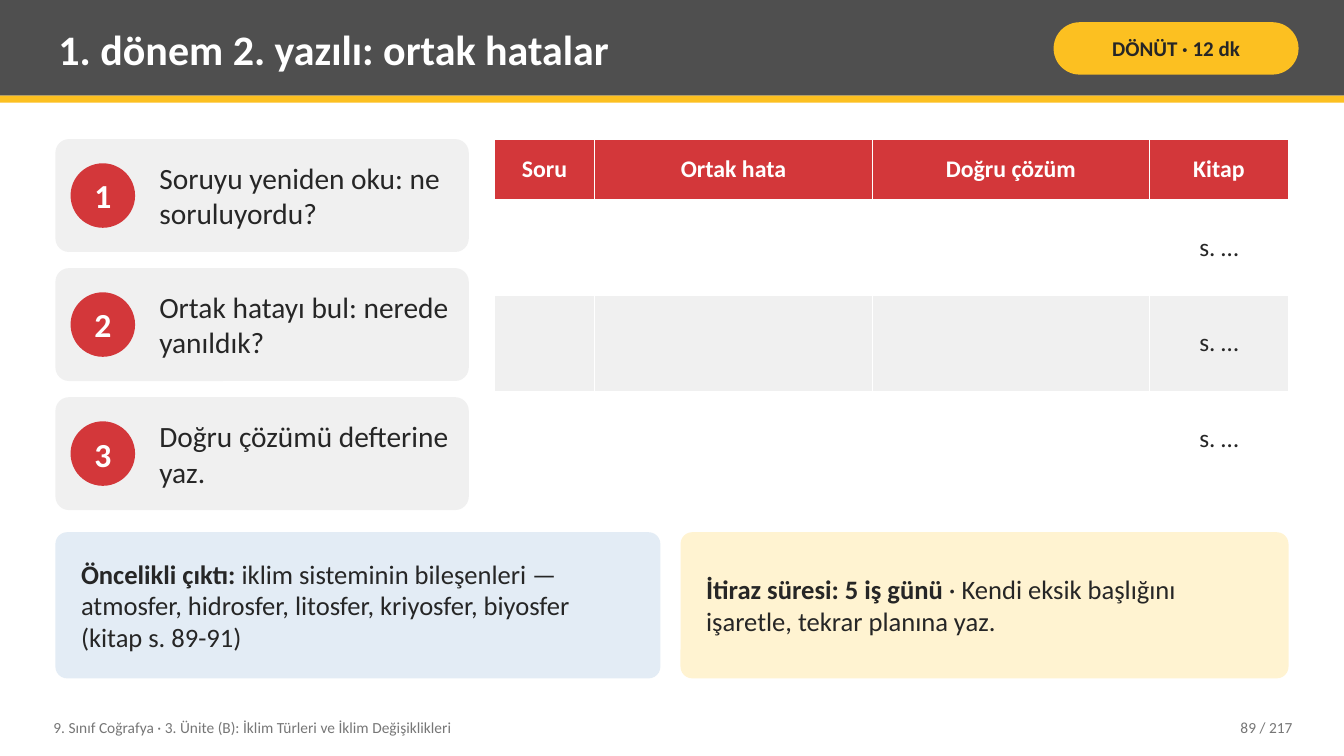
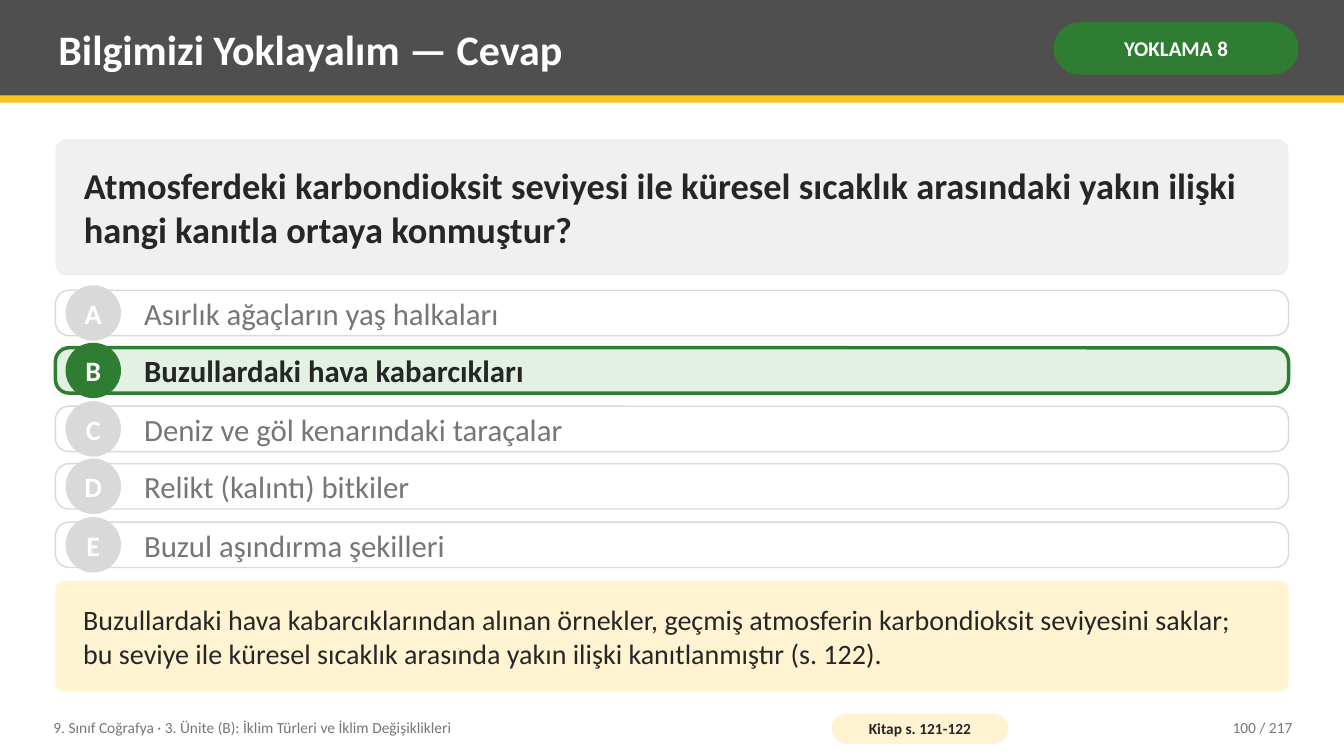
from pptx import Presentation
from pptx.dml.color import RGBColor
from pptx.enum.shapes import MSO_SHAPE as Shape
from pptx.enum.text import MSO_ANCHOR as Anchor, PP_ALIGN as Align
from pptx.oxml import parse_xml
from pptx.oxml.ns import nsdecls
from pptx.util import Pt

PX = 9144  # EMU in one px, 100 px to the inch
SLIDE_WIDTH, SLIDE_HEIGHT = 1333, 750
LEFT, TOP, CONTENT_WIDTH = 55, 138, 1223
FONT = "Calibri"
FOOTER = "9. Sınıf Coğrafya · 3. Ünite (B): İklim Türleri ve İklim Değişiklikleri"
PAGE_COUNT = 217

WHITE, INK, MUTED = "FFFFFF", "262626", "767676"
DARK, YELLOW, RED, GREEN = "4F4F4F", "FCC021", "D3373A", "2E7D32"
GREY, SILVER = "F0F0F0", "D9D9D9"
PALE_BLUE, PALE_YELLOW, PALE_GREEN = "E3ECF5", "FFF3D1", "E3F1E4"


def px(*lengths):
    return [length * PX for length in lengths]


def paint(color_format, color):
    color_format.rgb = RGBColor.from_string(color)


def fill_solid(target, color):
    target.fill.solid()
    paint(target.fill.fore_color, color)


# Text
def format_run(run, size, color, bold):
    run.font.name = FONT
    run.font.size = Pt(size)
    run.font.bold = bold
    paint(run.font.color, color)


def write(frame, text, size, color=INK, bold=False, align=Align.LEFT,
          insets=(8, 4), wrap=True, lead=""):
    """Fill a text frame; lead is a bold opening before the text."""
    frame.word_wrap = wrap
    frame.vertical_anchor = Anchor.MIDDLE
    frame.margin_left = frame.margin_right = insets[0] * PX
    frame.margin_top = frame.margin_bottom = insets[1] * PX
    frame.text = lead or text
    paragraph = frame.paragraphs[0]
    paragraph.alignment = align
    format_run(paragraph.runs[0], size, color, bold or bool(lead))
    if lead:
        run = paragraph.add_run()
        run.text = text
        format_run(run, size, color, bold)


def add_text(slide, box, text, size, **style):
    write(slide.shapes.add_textbox(*px(*box)).text_frame, text, size, **style)


# Shapes
def add_block(slide, kind, box, fill, line=None, line_width=1):
    shape = slide.shapes.add_shape(kind, *px(*box))
    shape.shadow.inherit = False
    fill_solid(shape, fill)
    if line:
        paint(shape.line.color, line)
        shape.line.width = Pt(line_width)
    else:
        shape.line.fill.background()
    return shape


def add_card(slide, box, fill, radius, **outline):
    card = add_block(slide, Shape.ROUNDED_RECTANGLE, box, fill, **outline)
    card.adjustments[0] = radius
    return card


def add_panel(slide, box, fill, text, size, inset=25, **style):
    panel = add_card(slide, box, fill, 0.08)
    write(panel.text_frame, text, size, insets=(inset, 8), **style)


def add_pill(slide, box, fill, text, size, color, insets):
    pill = add_card(slide, box, fill, 0.5)
    write(pill.text_frame, text, size, color, True, Align.CENTER, insets)


def add_badge(slide, left, top, diameter, fill, text, size):
    badge = add_block(slide, Shape.OVAL, (left, top, diameter, diameter), fill)
    write(badge.text_frame, text, size, WHITE, True, Align.CENTER, (0, 0), False)


# Table
def add_borders(cell, color, width):
    properties = cell._tc.get_or_add_tcPr()
    for side in ("lnL", "lnR", "lnT", "lnB"):
        properties.append(parse_xml(
            f'<a:{side} {nsdecls("a")} w="{Pt(width)}"><a:solidFill>'
            f'<a:srgbClr val="{color}"/></a:solidFill></a:{side}>'))


def fill_cell(cell, text, fill, **style):
    add_borders(cell, WHITE, 0.96)
    fill_solid(cell, fill)
    cell.vertical_anchor = Anchor.MIDDLE
    cell.margin_left = cell.margin_right = 6 * PX
    cell.margin_top = cell.margin_bottom = 5 * PX
    if text:
        cell.text = text
        paragraph = cell.text_frame.paragraphs[0]
        paragraph.alignment = Align.CENTER
        format_run(paragraph.runs[0], **style)


def add_error_table(slide, left, top, widths, heights, rows):
    box = px(left, top, sum(widths), sum(heights))
    table = slide.shapes.add_table(len(heights), len(widths), *box).table
    table.horz_banding = False
    for column, width in zip(table.columns, widths):
        column.width = width * PX
    for index, (row, height, texts) in enumerate(zip(table.rows, heights, rows)):
        row.height = height * PX
        if index == 0:
            fill, style = RED, dict(size=17, color=WHITE, bold=True)
        else:
            fill = WHITE if index % 2 else GREY
            style = dict(size=18, color=INK, bold=False)
        for cell, text in zip(row.cells, texts):
            fill_cell(cell, text, fill, **style)


# Frame shared by the slides
def add_slide(presentation, title, tag, tag_fill, tag_color, page):
    slide = presentation.slides.add_slide(presentation.slide_layouts[6])
    add_block(slide, Shape.RECTANGLE, (0, 0, SLIDE_WIDTH, 95), DARK)
    add_block(slide, Shape.RECTANGLE, (0, 95, SLIDE_WIDTH, 7), YELLOW)
    add_text(slide, (50, 7, 975, 82), title, 30, color=WHITE, bold=True)
    add_pill(slide, (1045, 22, 243, 52), tag_fill, tag, 15, tag_color, (5, 2))
    add_text(slide, (45, 704, 760, 36), FOOTER, 11, color=MUTED)
    add_text(slide, (1130, 704, 160, 36), f"{page} / {PAGE_COUNT}", 11,
             color=MUTED, align=Align.RIGHT)
    return slide


def add_step(slide, number, text):
    top = TOP + (number - 1) * 128
    add_card(slide, (LEFT, top, 410, 112), GREY, 0.12)
    add_badge(slide, 70, top + 24, 64, RED, str(number), 24)
    add_text(slide, (150, top, 305, 112), text, 21)


def add_option(slide, index, text, correct):
    top = 288 + index * 115 // 2
    if correct:
        fill, accent, line_width, color = PALE_GREEN, GREEN, 2.5, INK
    else:
        fill, accent, line_width, color = WHITE, SILVER, 1, MUTED
    add_card(slide, (LEFT, top, CONTENT_WIDTH, 45), fill, 0.3,
             line=accent, line_width=line_width)
    add_badge(slide, 65, top - 5, 55, accent, "ABCDE"[index], 20)
    add_text(slide, (135, top, 1123, 45), text, 22, color=color, bold=correct)


# Slides
def build_feedback(presentation):
    slide = add_slide(presentation, "1. dönem 2. yazılı: ortak hatalar",
                      "DÖNÜT · 12 dk", YELLOW, INK, 89)
    steps = ("Soruyu yeniden oku: ne soruluyordu?",
             "Ortak hatayı bul: nerede yanıldık?",
             "Doğru çözümü defterine yaz.")
    for number, text in enumerate(steps, 1):
        add_step(slide, number, text)
    header = ("Soru", "Ortak hata", "Doğru çözüm", "Kitap")
    add_error_table(slide, 490, TOP, (100, 275, 275, 138), (60, 95, 95, 95),
                    [header] + [("", "", "", "s. …")] * 3)
    add_panel(slide, (LEFT, 528, 600, 145), PALE_BLUE,
              " iklim sisteminin bileşenleri — atmosfer, hidrosfer, litosfer, "
              "kriyosfer, biyosfer (kitap s. 89-91)",
              19, inset=22, lead="Öncelikli çıktı:")
    add_panel(slide, (675, 528, 603, 145), PALE_YELLOW,
              " · Kendi eksik başlığını işaretle, tekrar planına yaz.",
              19, inset=22, lead="İtiraz süresi: 5 iş günü")


def build_answer(presentation):
    slide = add_slide(presentation, "Bilgimizi Yoklayalım — Cevap",
                      "YOKLAMA 8", GREEN, WHITE, 100)
    add_panel(slide, (LEFT, TOP, CONTENT_WIDTH, 135), GREY,
              "Atmosferdeki karbondioksit seviyesi ile küresel sıcaklık "
              "arasındaki yakın ilişki hangi kanıtla ortaya konmuştur?",
              26, bold=True)
    options = ("Asırlık ağaçların yaş halkaları",
               "Buzullardaki hava kabarcıkları",
               "Deniz ve göl kenarındaki taraçalar",
               "Relikt (kalıntı) bitkiler",
               "Buzul aşındırma şekilleri")
    for index, text in enumerate(options):
        add_option(slide, index, text, correct=index == 1)
    add_panel(slide, (LEFT, 576, CONTENT_WIDTH, 110), PALE_YELLOW,
              "Buzullardaki hava kabarcıklarından alınan örnekler, geçmiş "
              "atmosferin karbondioksit seviyesini saklar; bu seviye ile küresel "
              "sıcaklık arasında yakın ilişki kanıtlanmıştır (s. 122).", 20)
    add_pill(slide, (825, 708, 175, 30), PALE_YELLOW, "Kitap s. 121-122",
             11, INK, (4, 0))


def main():
    presentation = Presentation()
    presentation.slide_width, presentation.slide_height = px(SLIDE_WIDTH, SLIDE_HEIGHT)
    build_feedback(presentation)
    build_answer(presentation)
    presentation.save("out.pptx")


if __name__ == "__main__":
    main()
